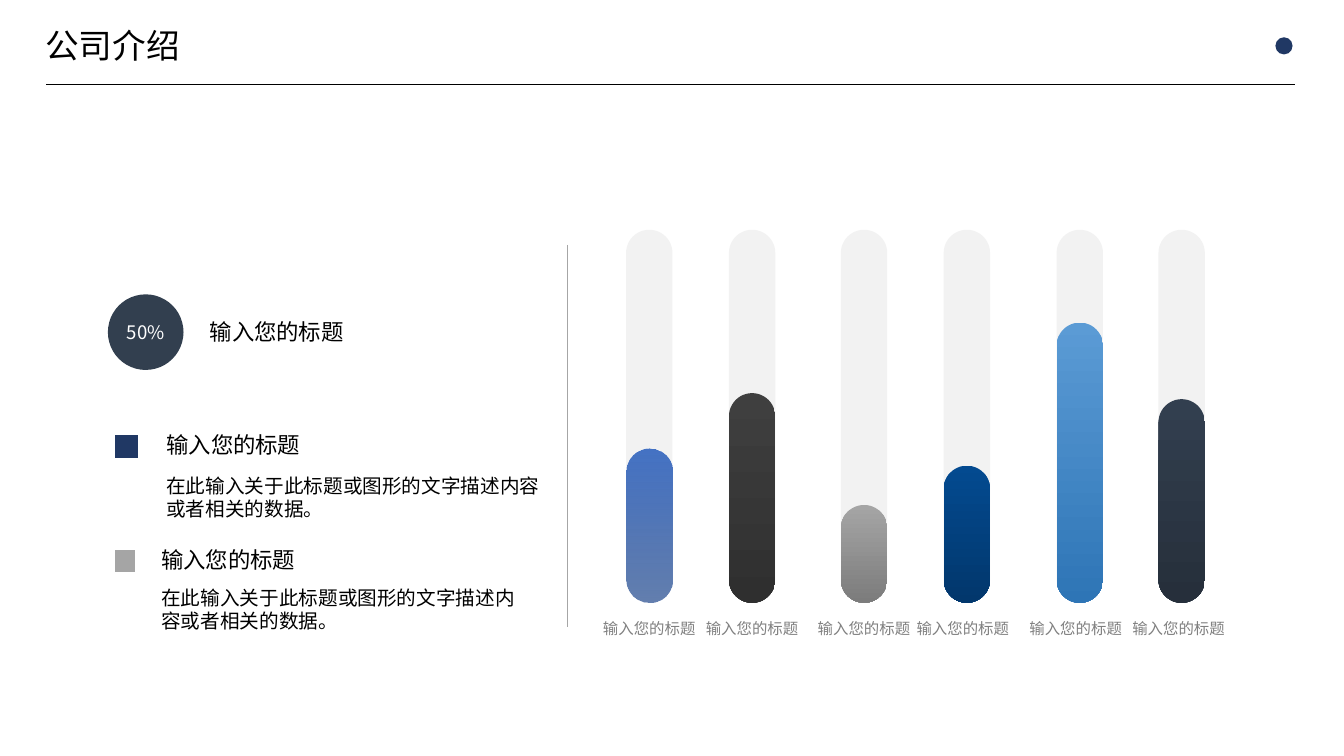
"""Build the company introduction slide with a six-bar progress graphic."""
from dataclasses import dataclass

import lxml.etree
import pptx
import pptx.dml.color
import pptx.enum.shapes
import pptx.enum.text
import pptx.oxml.ns
import pptx.util

Inches = pptx.util.Inches
Pt = pptx.util.Pt
qn = pptx.oxml.ns.qn
SHAPE = pptx.enum.shapes.MSO_SHAPE
ALIGN = pptx.enum.text.PP_ALIGN
ANCHOR = pptx.enum.text.MSO_ANCHOR


@dataclass(frozen=True)
class Theme:
    font: str = "Noto Sans CJK SC"
    ink: str = "000000"
    paper: str = "FFFFFF"
    navy: str = "203864"
    slate: str = "323F4F"
    gray: str = "A5A5A5"
    rule: str = "A6A6A6"
    track: str = "F2F2F2"
    caption: str = "808080"
    title_size: float = 24
    heading_size: float = 16
    body_size: float = 14
    badge_size: float = 13.3
    caption_size: float = 11


class SlideBuilder:
    def __init__(self, prs, theme):
        self.theme = theme
        self.slide = prs.slides.add_slide(prs.slide_layouts[5])
        self.shapes = self.slide.shapes

    def start_group(self):
        self.shapes = self.slide.shapes.add_group_shape().shapes

    def end_group(self):
        self.shapes = self.slide.shapes

    def rgb(self, color):
        return pptx.dml.color.RGBColor.from_string(color)

    def set_text(self, sp, text, size, color, align=ALIGN.LEFT,
                 anchor=ANCHOR.TOP, spacing=None, inset=0, wrap=True):
        tf = sp.text_frame
        tf.text = text
        tf.word_wrap = wrap
        tf.auto_size = pptx.enum.text.MSO_AUTO_SIZE.NONE
        tf.vertical_anchor = anchor
        tf.margin_left = tf.margin_right = Inches(inset)
        tf.margin_top = tf.margin_bottom = Inches(inset)
        p = tf.paragraphs[0]
        p.alignment = align
        if spacing:
            p.line_spacing = spacing
        font = p.runs[0].font
        font.size = Pt(size)
        font.name = self.theme.font
        font.color.rgb = self.rgb(color)
        latin = p.runs[0]._r.rPr.find(qn("a:latin"))
        ea = lxml.etree.Element(qn("a:ea"), typeface=self.theme.font)
        latin.addnext(ea)

    def title(self, text, x, y, w, h):
        sp = self.slide.shapes.title
        sp.left, sp.top, sp.width, sp.height = map(Inches, (x, y, w, h))
        self.set_text(sp, text, self.theme.title_size, self.theme.ink,
                      anchor=ANCHOR.MIDDLE, inset=0.1)

    def text(self, text, x, y, w, h, size, color, **style):
        sp = self.shapes.add_textbox(*map(Inches, (x, y, w, h)))
        self.set_text(sp, text, size, color, **style)

    def shape(self, kind, x, y, w, h, fill, adj=None, outline=None):
        sp = self.shapes.add_shape(kind, *map(Inches, (x, y, w, h)))
        sp.shadow.inherit = False
        if adj is not None:
            sp.adjustments[0] = adj
        sp.fill.solid()
        sp.fill.fore_color.rgb = self.rgb(fill)
        if outline:
            sp.line.color.rgb = self.rgb(outline)
            sp.line.width = Pt(1.5)
        else:
            sp.line.fill.background()
        return sp

    def pill(self, x, y, w, h, fill):
        return self.shape(SHAPE.ROUNDED_RECTANGLE, x, y, w, h, fill, adj=0.5)

    def gradient_pill(self, x, y, w, h, top, bottom, opacity):
        sp = self.pill(x, y, w, h, top)
        sp.fill.gradient()
        sp.fill.gradient_angle = 270
        for stop, color in zip(sp.fill.gradient_stops, (top, bottom)):
            stop.color.rgb = self.rgb(color)
        if opacity < 100:
            end = sp._element.spPr.findall(".//" + qn("a:srgbClr"))[-1]
            lxml.etree.SubElement(end, qn("a:alpha"), val=str(opacity * 1000))

    def line(self, x1, y1, x2, y2, color):
        cx = self.shapes.add_connector(
            pptx.enum.shapes.MSO_CONNECTOR.STRAIGHT,
            *map(Inches, (x1, y1, x2, y2)))
        cx.line.color.rgb = self.rgb(color)
        cx.line.width = Pt(0.5)
        lxml.etree.SubElement(cx._element.spPr, qn("a:effectLst"))


HEADING = "输入您的标题"
BODY = "在此输入关于此标题或图形的文字描述内容或者相关的数据。"
BAR_WIDTH, TRACK_TOP, BAR_BOTTOM = 0.46, 2.28, 5.98
BARS = [
    (6.21, 1.53, 5.88, "4472C4", "2F5597", 73),
    (7.23, 2.08, 6.9, "3F3F3F", "2F2F2F", 100),
    (8.34, 0.97, 8.01, "A5A5A5", "7C7C7C", 100),
    (9.36, 1.36, 8.99, "034A90", "02376C", 100),
    (10.48, 2.78, 10.11, "5B9BD5", "2E75B6", 100),
    (11.49, 2.02, 11.13, "323F4F", "262F3B", 100),
]


def main():
    prs = pptx.Presentation()
    prs.slide_width, prs.slide_height = Inches(13.33), Inches(7.5)
    theme = Theme()
    s = SlideBuilder(prs, theme)

    s.line(0.46, 0.84, 12.84, 0.84, theme.ink)
    s.title("公司介绍", 0.35, 0.2, 6.5, 0.5)
    s.shape(SHAPE.OVAL, 12.65, 0.37, 0.17, 0.17, theme.navy)

    s.start_group()
    for x, *_ in BARS:
        s.pill(x, TRACK_TOP, BAR_WIDTH, BAR_BOTTOM - TRACK_TOP, theme.track)
    s.end_group()
    for x, height, label_x, top, bottom, opacity in BARS:
        s.gradient_pill(x, BAR_BOTTOM - height, BAR_WIDTH, height,
                        top, bottom, opacity)
        s.text(HEADING, label_x, 6.11, 1.12, 0.19, theme.caption_size,
               theme.caption, align=ALIGN.CENTER, spacing=1.2)

    s.line(5.63, 2.43, 5.63, 6.22, theme.rule)
    s.text(HEADING, 2.08, 3.15, 2.11, 0.27, theme.heading_size, theme.ink,
           anchor=ANCHOR.MIDDLE)
    badge = s.pill(1.07, 2.92, 0.75, 0.75, theme.slate)
    s.set_text(badge, "50%", theme.badge_size, theme.paper,
               align=ALIGN.CENTER, anchor=ANCHOR.MIDDLE)

    for y, marker_width, x, body_y, body_width, color in (
            (4.21, 0.25, 1.58, 4.63, 3.93, theme.navy),
            (5.35, 0.22, 1.53, 5.74, 3.81, theme.gray)):
        s.start_group()
        s.shape(SHAPE.CHEVRON, 1.13, y + 0.1, marker_width, 0.24, color,
                adj=0, outline=theme.paper)
        s.text(HEADING, x, y, 1.51, 0.4, theme.heading_size, theme.ink,
               inset=0.07, wrap=False)
        s.text(BODY, x, body_y, body_width, 0.61, theme.body_size, theme.ink,
               inset=0.07)
        s.end_group()

    prs.save("out.pptx")


if __name__ == "__main__":
    main()
